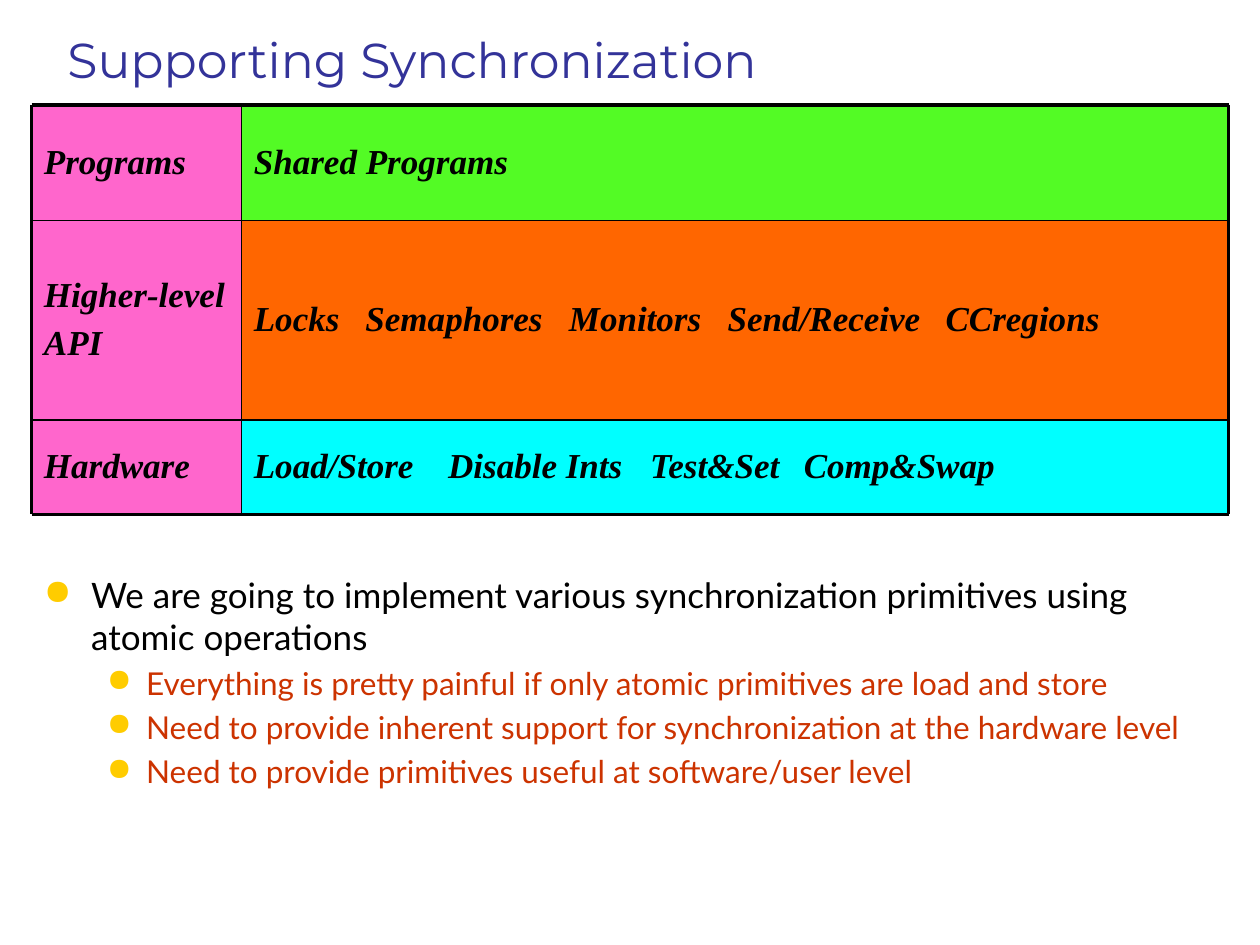
from itertools import pairwise

from lxml.etree import SubElement
from pptx import Presentation
from pptx.dml.color import RGBColor
from pptx.enum.shapes import MSO_CONNECTOR, MSO_SHAPE
from pptx.enum.text import MSO_ANCHOR, PP_ALIGN
from pptx.oxml.ns import qn
from pptx.util import Pt

PX = 9525  # 96 px to the inch

COLORS = {
    "title": "333399",
    "text": "000000",
    "detail": "CC3300",
    "bullet": "FFCC00",
    "layer": "FF66CC",
    "programs": "53FB25",
    "api": "FF6600",
    "hardware": "00FFFF",
    "rule": "000000",
}

COLUMN_EDGES = [24, 184, 936]
ROW_EDGES = [80, 168, 320, 392]

# Layer name, its contents, fill of the contents, tab stops
LAYERS = [
    ("Programs", ["Shared Programs"], "programs", []),
    ("Higher-level\nAPI",
     ["Locks", "Semaphores", "Monitors", "Send/Receive", "CCregions"],
     "api", [85, 240, 361, 527]),
    ("Hardware", ["Load/Store", "Disable Ints", "Test&Set", "Comp&Swap"],
     "hardware", [148, 302, 419]),
]

GOAL = ("We are going to implement various synchronization primitives "
        "using atomic operations")
DETAILS = [
    "Everything is pretty painful if only atomic primitives are load and store",
    "Need to provide inherent support for synchronization at the hardware level",
    "Need to provide primitives useful at software/user level",
]


def rgb(name):
    return RGBColor.from_string(COLORS[name])


def style_runs(paragraph, font_name, size, color, emphasis=False):
    for run in paragraph.runs:
        run.font.name = font_name
        run.font.size = Pt(size)
        run.font.color.rgb = rgb(color)
        if emphasis:
            run.font.bold = run.font.italic = True


def add_text_frame(slide, left, top, width, height):
    box = slide.shapes.add_textbox(left * PX, top * PX, width * PX, height * PX)
    box.text_frame.word_wrap = True
    return box.text_frame


def add_title(slide):
    frame = add_text_frame(slide, 42, 24, 816, 48)
    frame.vertical_anchor = MSO_ANCHOR.BOTTOM
    frame.text = "Supporting Synchronization"
    style_runs(frame.paragraphs[0], "Montserrat", 28, "title")


def add_bullet(paragraph, margin, hanging):
    properties = paragraph._p.get_or_add_pPr()
    properties.set("marL", str(margin * PX))
    properties.set("indent", str(-hanging * PX))
    bullet_color = SubElement(properties, qn("a:buClr"))
    SubElement(bullet_color, qn("a:srgbClr"), val=COLORS["bullet"])
    SubElement(properties, qn("a:buChar"), char="●")


def add_tab_stops(paragraph, stops):
    tab_list = SubElement(paragraph._p.get_or_add_pPr(), qn("a:tabLst"))
    for stop in stops:
        SubElement(tab_list, qn("a:tab"), pos=str(stop * PX), algn="l")


def add_points(slide):
    frame = add_text_frame(slide, 24, 432, 904, 224)
    frame.text = "\n".join([GOAL, *DETAILS])
    goal, *details = frame.paragraphs
    add_bullet(goal, 36, 36)
    style_runs(goal, "Lato", 20, "text")
    for detail in details:
        detail.level = 1
        add_bullet(detail, 78, 30)
        detail.space_before = Pt(3.6)
        style_runs(detail, "Lato", 18, "detail")


def add_cell(slide, columns, rows, text, fill, tab_stops=()):
    (left, right), (top, bottom) = columns, rows
    cell = slide.shapes.add_shape(
        MSO_SHAPE.RECTANGLE, left * PX, top * PX,
        (right - left) * PX, (bottom - top) * PX)
    cell.shadow.inherit = False
    cell.fill.solid()
    cell.fill.fore_color.rgb = rgb(fill)
    cell.line.fill.background()
    frame = cell.text_frame
    frame.word_wrap = True
    frame.vertical_anchor = MSO_ANCHOR.MIDDLE
    frame.text = text
    for index, paragraph in enumerate(frame.paragraphs):
        if tab_stops:
            add_tab_stops(paragraph, tab_stops)
        paragraph.alignment = PP_ALIGN.LEFT
        paragraph.line_spacing = 0.9
        if index:
            paragraph.space_before = Pt(6)
        style_runs(paragraph, "Times New Roman", 20, "text", emphasis=True)


def add_rule(slide, start, end, is_border):
    rule = slide.shapes.add_connector(
        MSO_CONNECTOR.STRAIGHT, start[0] * PX, start[1] * PX,
        end[0] * PX, end[1] * PX)
    rule.line.color.rgb = rgb("rule")
    rule.line.width = Pt(2.25 if is_border else 1)
    SubElement(rule._element.spPr, qn("a:effectLst"))


def add_layers(slide):
    """Draw the layer grid: cells first, then the rules over their edges."""
    name_column, content_column = pairwise(COLUMN_EDGES)
    for rows, (name, contents, fill, stops) in zip(pairwise(ROW_EDGES), LAYERS):
        add_cell(slide, content_column, rows, "\t".join(contents), fill, stops)
        add_cell(slide, name_column, rows, name, "layer")

    left, right = COLUMN_EDGES[0], COLUMN_EDGES[-1]
    top, bottom = ROW_EDGES[0], ROW_EDGES[-1]
    for y in ROW_EDGES:
        add_rule(slide, (left, y), (right, y), y in (top, bottom))
    for x in COLUMN_EDGES:
        add_rule(slide, (x, top), (x, bottom), x in (left, right))


def main():
    presentation = Presentation()
    presentation.slide_width = 960 * PX
    presentation.slide_height = 720 * PX
    slide = presentation.slides.add_slide(presentation.slide_layouts[6])
    add_title(slide)
    add_points(slide)
    add_layers(slide)
    presentation.save("out.pptx")


if __name__ == "__main__":
    main()
